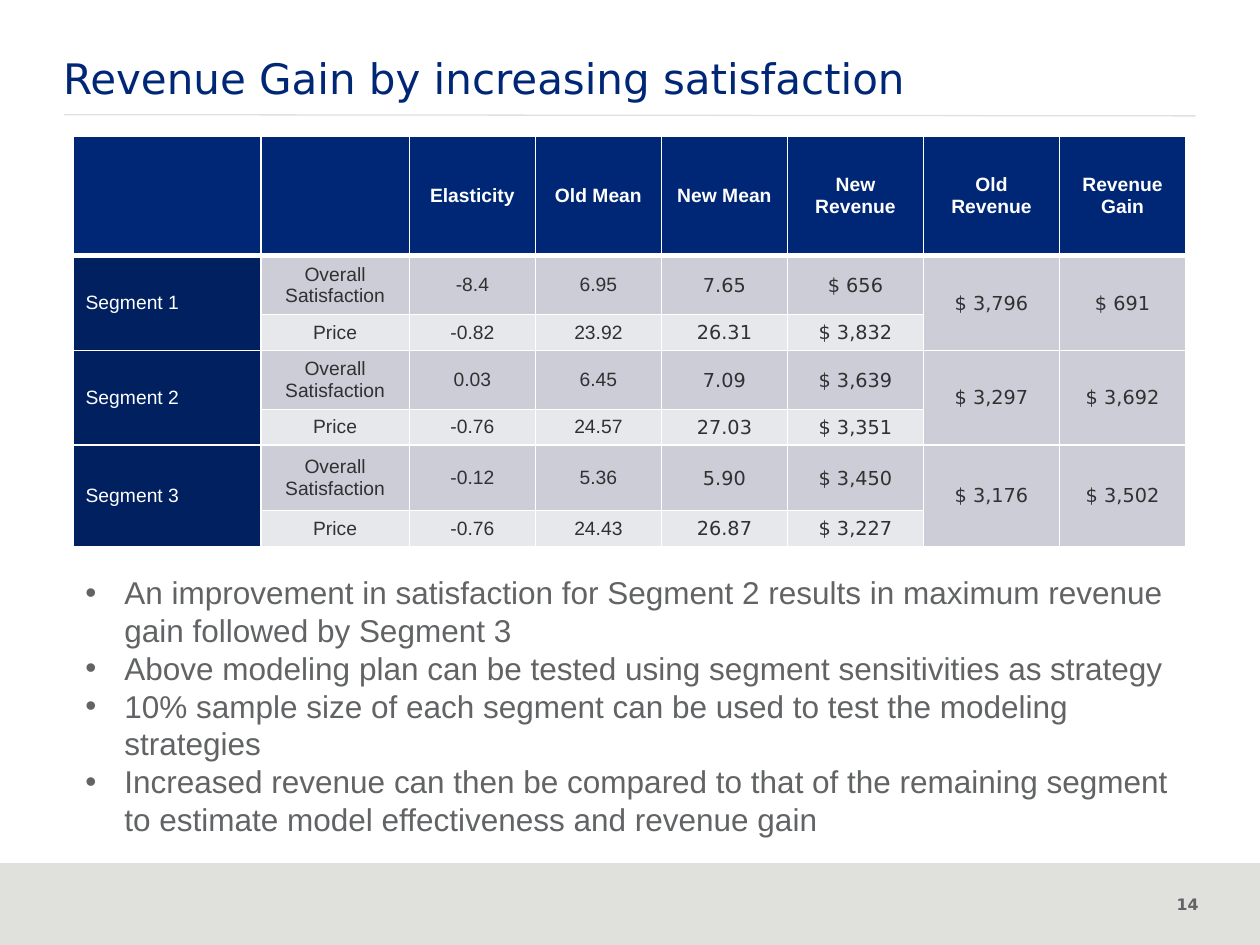
from dataclasses import dataclass

from lxml import etree
from pptx import Presentation
from pptx.dml.color import RGBColor
from pptx.enum.shapes import MSO_CONNECTOR, MSO_SHAPE
from pptx.enum.text import MSO_ANCHOR, PP_ALIGN
from pptx.oxml.ns import qn
from pptx.util import Inches, Pt

LEFT, CENTER, RIGHT = PP_ALIGN.LEFT, PP_ALIGN.CENTER, PP_ALIGN.RIGHT
MIDDLE = MSO_ANCHOR.MIDDLE
RECTANGLE = MSO_SHAPE.RECTANGLE
STRAIGHT = MSO_CONNECTOR.STRAIGHT

COLORS = {
    "navy": "002776", "segment": "002060", "white": "FFFFFF",
    "dark_band": "CCCDD6", "light_band": "E7E8EC",
    "ink": "303132", "gray": "616365", "rule": "E0E1DD",
}
SANS, WIDE = "Arial", "DejaVu Sans"


@dataclass(frozen=True)
class Style:
    size: float
    font: str
    color: str
    bold: bool = False
    align: PP_ALIGN = LEFT


@dataclass(frozen=True)
class Measure:
    label: str
    elasticity: str
    old_mean: str
    new_mean: str
    new_revenue: str


@dataclass(frozen=True)
class Segment:
    name: str
    satisfaction: Measure
    price: Measure
    old_revenue: str
    gain: str


TITLE = Style(24, WIDE, "navy")
PAGE_NUMBER = Style(9, WIDE, "gray", bold=True, align=RIGHT)
BULLET = Style(18, SANS, "gray")
HEADER = Style(11, SANS, "white", bold=True, align=CENTER)
SEGMENT_NAME = Style(11, SANS, "white")
OBSERVED = Style(11, SANS, "ink", align=CENTER)
COMPUTED = Style(11, WIDE, "ink", align=CENTER)

HEADINGS = ["", "", "Elasticity", "Old Mean", "New Mean",
            "New Revenue", "Old Revenue", "Revenue Gain"]
COLUMN_WIDTHS = [1.49, 1.18, 1, 1, 1, 1.08, 1.08, 1]
ROW_HEIGHTS = [0.95, 0.44, 0.27, 0.44, 0.27, 0.52, 0.27]
SEGMENTS = [
    Segment("Segment 1",
            Measure("Overall Satisfaction", "-8.4", "6.95", "7.65", "$ 656"),
            Measure("Price", "-0.82", "23.92", "26.31", "$ 3,832"),
            "$ 3,796", "$ 691"),
    Segment("Segment 2",
            Measure("Overall Satisfaction", "0.03", "6.45", "7.09", "$ 3,639"),
            Measure("Price", "-0.76", "24.57", "27.03", "$ 3,351"),
            "$ 3,297", "$ 3,692"),
    Segment("Segment 3",
            Measure("Overall Satisfaction", "-0.12", "5.36", "5.90", "$ 3,450"),
            Measure("Price", "-0.76", "24.43", "26.87", "$ 3,227"),
            "$ 3,176", "$ 3,502"),
]
FINDINGS = [
    "An improvement in satisfaction for Segment 2 results in maximum revenue gain followed by Segment 3",
    "Above modeling plan can be tested using segment sensitivities as strategy",
    "10% sample size of each segment can be used to test the modeling strategies",
    "Increased revenue can then be compared to that of the remaining segment "
    "to estimate model effectiveness and revenue gain",
]


def rgb(name: str) -> RGBColor:
    return RGBColor.from_string(COLORS[name])


def write(paragraph, text: str, style: Style) -> None:
    paragraph.alignment = style.align
    run = paragraph.add_run()
    run.text = text
    run.font.size = Pt(style.size)
    run.font.name = style.font
    run.font.bold = style.bold
    run.font.color.rgb = rgb(style.color)


def add_text_frame(slide, left: float, top: float, width: float, height: float):
    box = slide.shapes.add_textbox(Inches(left), Inches(top), Inches(width), Inches(height))
    box.text_frame.word_wrap = True
    return box.text_frame


def add_footer(slide) -> None:
    band = slide.shapes.add_shape(RECTANGLE, 0, Inches(6.85), Inches(10), Inches(0.65))
    band.shadow.inherit = False
    band.fill.solid()
    band.fill.fore_color.rgb = rgb("rule")
    band.line.fill.background()
    number = add_text_frame(slide, 8.99, 7.05, 0.62, 0.4)
    write(number.paragraphs[0], "14", PAGE_NUMBER)


def add_title(slide) -> None:
    rule = slide.shapes.add_connector(STRAIGHT, Inches(0.51), Inches(0.91),
                                      Inches(9.49), Inches(0.92))
    rule.line.color.rgb = rgb("rule")
    rule.line.width = Pt(0.75)
    etree.SubElement(rule._element.spPr, qn("a:effectLst"))
    frame = add_text_frame(slide, 0.5, 0.42, 8.99, 0.69)
    frame.margin_left = frame.margin_right = frame.margin_top = frame.margin_bottom = 0
    write(frame.paragraphs[0], "Revenue Gain by increasing satisfaction", TITLE)


def paint_cell(cell, fill: str, bottom_width: float = 1) -> None:
    """Fill the cell and draw its white borders, which must precede the fill in XML."""
    cell.fill.solid()
    cell.fill.fore_color.rgb = rgb(fill)
    cell.vertical_anchor = MIDDLE
    properties = cell._tc.get_or_add_tcPr()
    for position, side in enumerate(("lnL", "lnR", "lnT", "lnB")):
        width = bottom_width if side == "lnB" else 1
        border = etree.Element(qn(f"a:{side}"), w=str(Pt(width)))
        solid = etree.SubElement(border, qn("a:solidFill"))
        etree.SubElement(solid, qn("a:srgbClr"), val=COLORS["white"])
        properties.insert(position, border)


def write_cell(cell, text: str, style: Style) -> None:
    if style is COMPUTED:
        cell.margin_left = cell.margin_right = cell.margin_top = Inches(0.01)
        cell.margin_bottom = 0
    write(cell.text_frame.paragraphs[0], text, style)


def add_segment(table, first_row: int, segment: Segment) -> None:
    for row, measure, band in ((first_row, segment.satisfaction, "dark_band"),
                               (first_row + 1, segment.price, "light_band")):
        values = (measure.label, measure.elasticity, measure.old_mean,
                  measure.new_mean, measure.new_revenue)
        for column, text in enumerate(values, start=1):
            cell = table.cell(row, column)
            paint_cell(cell, band)
            write_cell(cell, text, COMPUTED if column >= 4 else OBSERVED)
    for column, text, style, fill in ((0, segment.name, SEGMENT_NAME, "segment"),
                                      (6, segment.old_revenue, COMPUTED, "dark_band"),
                                      (7, segment.gain, COMPUTED, "dark_band")):
        top, lower = table.cell(first_row, column), table.cell(first_row + 1, column)
        top.merge(lower)
        paint_cell(top, fill)
        paint_cell(lower, fill)
        write_cell(top, text, style)


def add_revenue_table(slide) -> None:
    table = slide.shapes.add_table(
        len(ROW_HEIGHTS), len(COLUMN_WIDTHS), Inches(0.58), Inches(1.08),
        Inches(sum(COLUMN_WIDTHS)), Inches(sum(ROW_HEIGHTS))).table
    for column, width in zip(table.columns, COLUMN_WIDTHS):
        column.width = Inches(width)
    for row, height in zip(table.rows, ROW_HEIGHTS):
        row.height = Inches(height)
    for cell, heading in zip(table.rows[0].cells, HEADINGS):
        paint_cell(cell, "navy", bottom_width=3)
        if heading:
            write_cell(cell, heading, HEADER)
    for index, segment in enumerate(SEGMENTS):
        add_segment(table, 1 + 2 * index, segment)


def add_findings(slide) -> None:
    frame = add_text_frame(slide, 0.58, 4.5, 8.83, 2.52)
    for index, finding in enumerate(FINDINGS):
        paragraph = frame.add_paragraph() if index else frame.paragraphs[0]
        write(paragraph, finding, BULLET)
        properties = paragraph._p.get_or_add_pPr()
        properties.set("marL", str(Inches(0.31)))
        properties.set("indent", str(-Inches(0.31)))
        etree.SubElement(properties, qn("a:buFont"), typeface=SANS)
        etree.SubElement(properties, qn("a:buChar"), char="•")


def main() -> None:
    presentation = Presentation()
    presentation.slide_width, presentation.slide_height = Inches(10), Inches(7.5)
    slide = presentation.slides.add_slide(presentation.slide_layouts[6])
    add_footer(slide)
    add_title(slide)
    add_revenue_table(slide)
    add_findings(slide)
    presentation.save("out.pptx")


if __name__ == "__main__":
    main()
